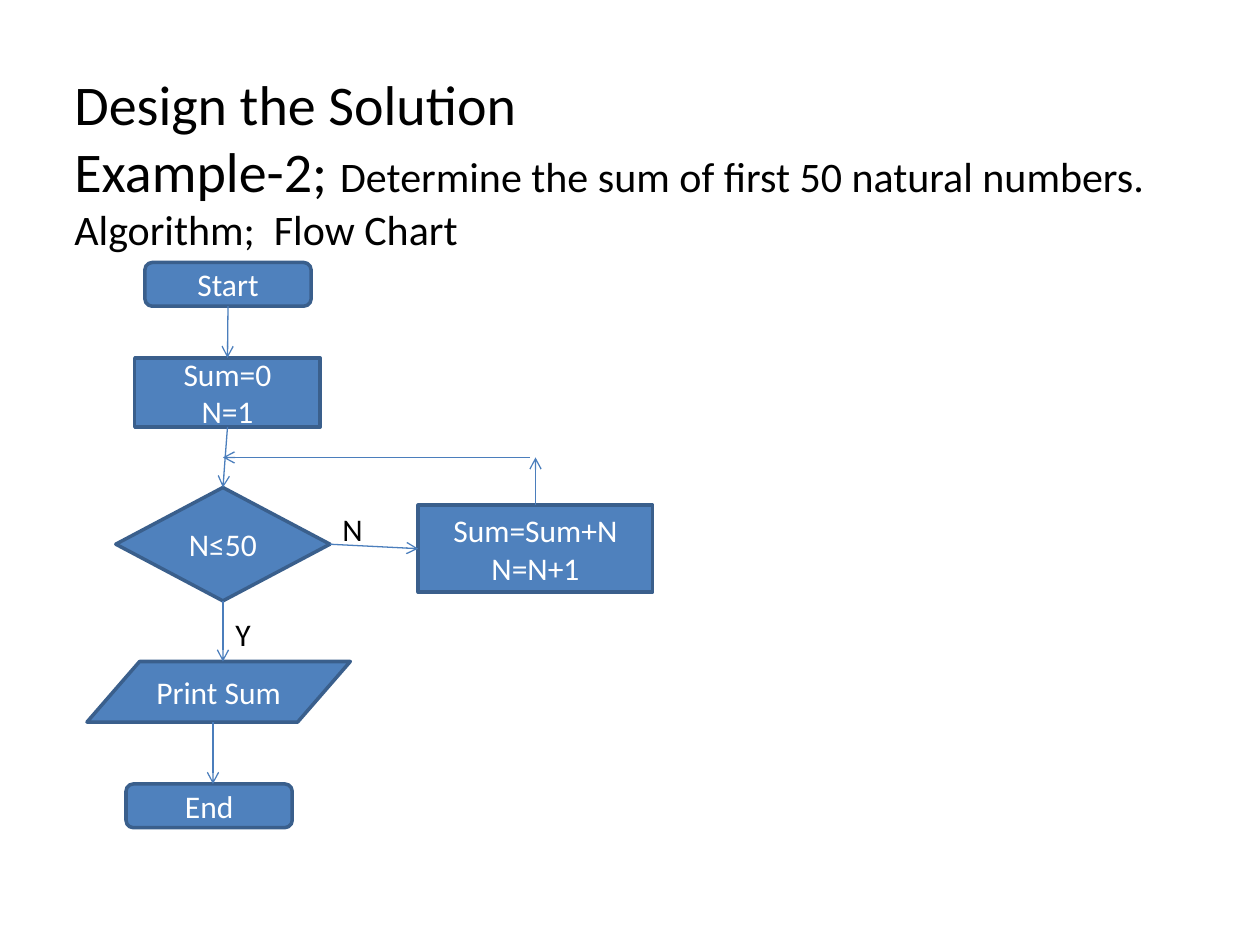
"""Build a slide with a flow chart that sums the first 50 natural numbers."""
from dataclasses import dataclass
from typing import NamedTuple, Optional

from lxml.etree import SubElement
from pptx import Presentation
from pptx.dml.color import RGBColor
from pptx.enum.shapes import MSO_CONNECTOR as Connector, MSO_SHAPE as Preset
from pptx.enum.text import MSO_ANCHOR as Anchor, MSO_AUTO_SIZE as AutoSize, PP_ALIGN as Align
from pptx.oxml.ns import qn
from pptx.util import Pt

TOP, LEFT, BOTTOM, RIGHT = range(4)


@dataclass(frozen=True)
class Theme:
    font: str = "Calibri"
    title_size: float = 32
    subtitle_size: float = 24
    text_size: float = 18
    fill: RGBColor = RGBColor(0x4F, 0x81, 0xBD)
    outline: RGBColor = RGBColor(0x3A, 0x5F, 0x8C)
    arrow: RGBColor = RGBColor(0x4B, 0x7E, 0xBC)
    light: RGBColor = RGBColor(255, 255, 255)
    dark: RGBColor = RGBColor(0, 0, 0)


class Box(NamedTuple):
    left: float
    top: float
    width: float
    height: float

    def lengths(self):
        return [Pt(value) for value in self]


class Step(NamedTuple):
    name: str
    preset: Preset
    box: Box
    text: str


class Joint(NamedTuple):
    x: float
    y: float
    step: Optional[str] = None
    side: int = TOP


class Label(NamedTuple):
    text: str
    box: Box


THEME = Theme()

STEPS = [
    Step("start", Preset.ROUNDED_RECTANGLE, Box(82.8, 150, 95, 25), "Start"),
    Step("setup", Preset.RECTANGLE, Box(77, 204.5, 106, 39.5), "Sum=0\nN=1"),
    Step("test", Preset.FLOWCHART_DECISION, Box(66.2, 278.6, 122.4, 64.8), "N≤50"),
    Step("add", Preset.RECTANGLE, Box(239, 288.7, 134, 49.7), "Sum=Sum+N\nN=N+1"),
    Step("print", Preset.FLOWCHART_DATA, Box(49.7, 378, 150.5, 34.6), "Print Sum"),
    Step("end", Preset.ROUNDED_RECTANGLE, Box(72, 448, 95, 25), "End"),
]

ARROWS = [
    (Joint(130.3, 175, "start", BOTTOM), Joint(130, 204.5, "setup", TOP)),
    (Joint(130, 244, "setup", BOTTOM), Joint(127.4, 278.6, "test", TOP)),
    (Joint(127.4, 343.4, "test", BOTTOM), Joint(127.4, 378)),
    (Joint(188.6, 311, "test", RIGHT), Joint(239, 313.5, "add", LEFT)),
    (Joint(121.7, 412.6), Joint(121.7, 448)),
    (Joint(306, 288.7, "add", TOP), Joint(306, 261.4)),
    (Joint(303, 261.4), Joint(127.4, 261.4)),
]

LABELS = [
    Label("Y", Box(127.4, 347.8, 55.4, 26)),
    Label("N", Box(188.6, 288, 55.4, 26)),
]


def style_run(run, size: float, color: RGBColor) -> None:
    """Set the font of one run."""
    run.font.name = THEME.font
    run.font.size = Pt(size)
    run.font.color.rgb = color


def style_text(text_frame, color: RGBColor, align: Align) -> None:
    """Format all paragraphs of a step or label."""
    for paragraph in text_frame.paragraphs:
        paragraph.alignment = align
        for run in paragraph.runs:
            style_run(run, THEME.text_size, color)


def draw_title(slide) -> None:
    """Fill the title placeholder with its large and small lines."""
    title = slide.shapes.title
    title.left, title.top, title.width, title.height = Box(35.3, 36, 645.8, 113.8).lengths()
    text_frame = title.text_frame
    text_frame.word_wrap = True
    text_frame.auto_size = AutoSize.SHAPE_TO_FIT_TEXT
    text_frame.vertical_anchor = Anchor.TOP
    paragraph = text_frame.paragraphs[0]
    paragraph.text = "Design the Solution\vExample-2; "
    paragraph.alignment = Align.LEFT
    paragraph.add_run().text = "Determine the sum of first 50 natural numbers."
    paragraph.add_line_break()
    paragraph.add_run().text = "Algorithm;  Flow Chart"
    sizes = [THEME.title_size] * 2 + [THEME.subtitle_size] * 2
    for run, size in zip(paragraph.runs, sizes):
        style_run(run, size, THEME.dark)
    for line_break, size in zip(paragraph._p.findall(qn("a:br")), sizes[::2]):
        SubElement(line_break, qn("a:rPr"), sz=str(int(size * 100)))


def draw_step(slide, step: Step):
    """Draw one flow chart step and return its shape."""
    shape = slide.shapes.add_shape(step.preset, *step.box.lengths())
    shape.shadow.inherit = False
    shape.fill.solid()
    shape.fill.fore_color.rgb = THEME.fill
    shape.line.color.rgb = THEME.outline
    shape.line.width = Pt(2)
    shape.text_frame.text = step.text
    shape.text_frame.vertical_anchor = Anchor.MIDDLE
    style_text(shape.text_frame, THEME.light, Align.CENTER)
    return shape


def draw_arrow(slide, begin: Joint, end: Joint, shapes: dict) -> None:
    """Draw an arrow and join it to the steps it names."""
    points = [Pt(value) for value in (begin.x, begin.y, end.x, end.y)]
    connector = slide.shapes.add_connector(Connector.STRAIGHT, *points)
    if begin.step:
        connector.begin_connect(shapes[begin.step], begin.side)
    if end.step:
        connector.end_connect(shapes[end.step], end.side)
    connector.line.color.rgb = THEME.arrow
    connector.line.width = Pt(0.75)
    SubElement(connector.line._get_or_add_ln(), qn("a:tailEnd"), type="arrow")
    SubElement(connector._element.spPr, qn("a:effectLst"))


def draw_label(slide, label: Label) -> None:
    """Write the answer beside a branch of the decision."""
    text_frame = slide.shapes.add_textbox(*label.box.lengths()).text_frame
    text_frame.word_wrap = True
    text_frame.auto_size = AutoSize.SHAPE_TO_FIT_TEXT
    text_frame.text = label.text
    style_text(text_frame, THEME.dark, Align.LEFT)


def main() -> None:
    """Build and save the presentation."""
    presentation = Presentation()
    presentation.slide_width, presentation.slide_height = Pt(720), Pt(540)
    slide = presentation.slides.add_slide(presentation.slide_layouts[5])
    draw_title(slide)
    shapes = {step.name: draw_step(slide, step) for step in STEPS}
    for begin, end in ARROWS:
        draw_arrow(slide, begin, end, shapes)
    for label in LABELS:
        draw_label(slide, label)
    presentation.save("out.pptx")


if __name__ == "__main__":
    main()
